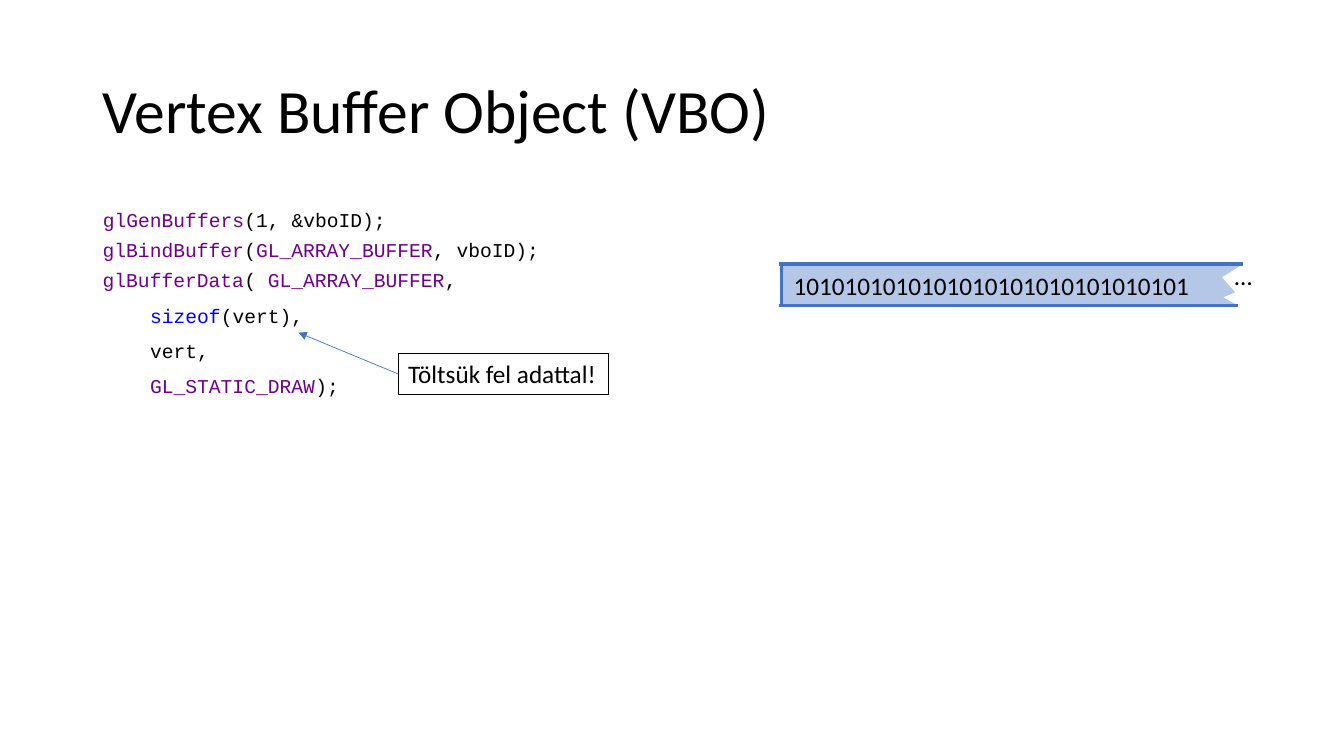
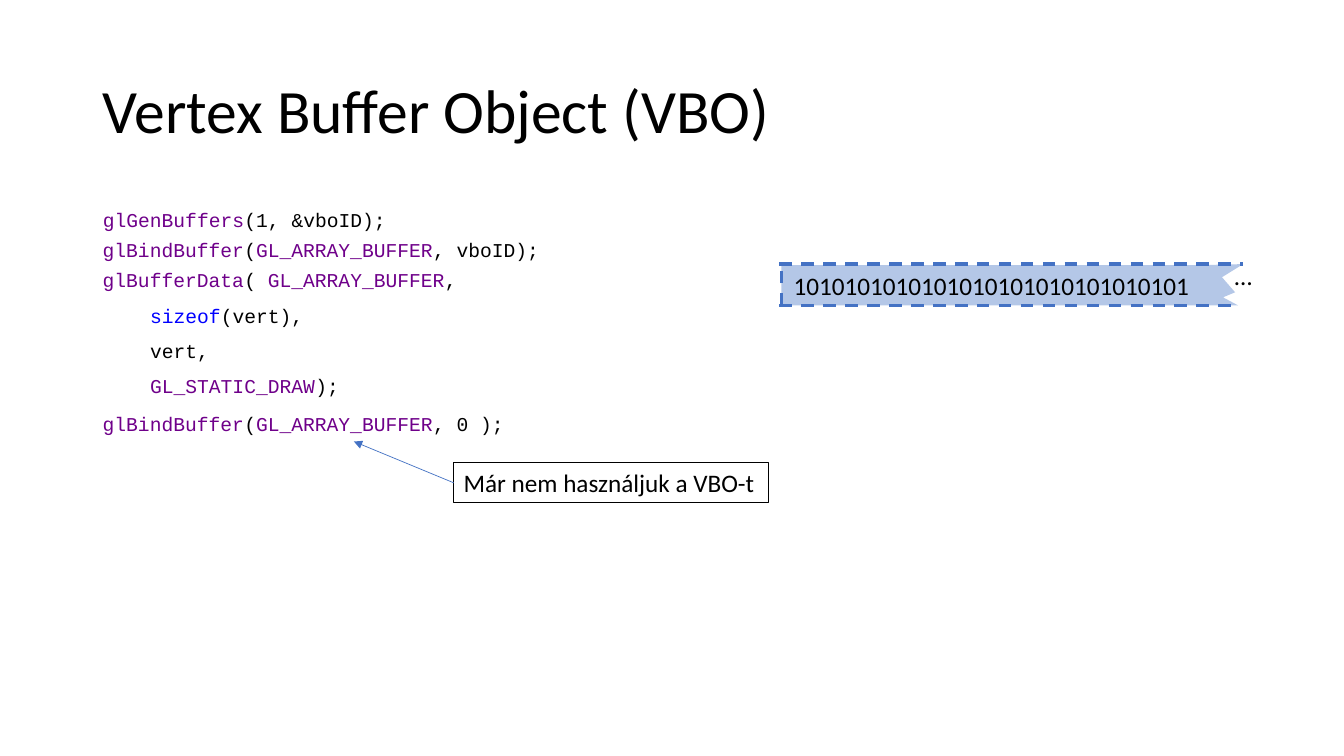
from pptx import Presentation
from pptx.dml.color import RGBColor as Rgb
from pptx.enum.dml import MSO_LINE as Dash
from pptx.enum.shapes import MSO_CONNECTOR as Link, MSO_SHAPE as Form
from pptx.enum.text import MSO_ANCHOR as Anchor, MSO_AUTO_SIZE as Fit, PP_ALIGN as Align
from pptx.oxml.ns import qn
from pptx.util import Inches, Pt
from lxml.etree import SubElement as Sub

INK = {"text": "000000", "call": "6F008A", "word": "0000FF",
       "line": "4472C4", "fill": "B4C7E7"}
CODE = {"name": "Courier New", "size": Pt(14)}
BODY = {"name": "Calibri", "size": Pt(18)}
HEAD = {"name": "Calibri", "size": Pt(44)}
PLAIN = {"alignment": Align.LEFT}
MID = {"alignment": Align.CENTER}
TIGHT = {"alignment": Align.LEFT, "line_spacing": 0.9, "space_before": Pt(10)}
STEP = Inches(0.47)


def put(item, form):
    """Set each attribute named in a dict."""
    for key, value in form.items():
        setattr(item, key, value)


def tint(name):
    """Look up a palette colour."""
    return Rgb.from_string(INK[name])


class Deck:
    """Holds the style and the current slide."""

    def __init__(self):
        """Start an empty wide deck."""
        self.show = Presentation()
        put(self.show, {"slide_width": Inches(13.33), "slide_height": Inches(7.5)})

    def page(self, title):
        """Add a slide with its title."""
        self.slide = self.show.slides.add_slide(self.show.slide_layouts[1])
        self.home = self.slide.shapes
        head = self.place(self.home.title, 0.92, 0.4, 11.5, 1.45)
        self.label(head, [[(title, "text")]], HEAD, {**PLAIN, "line_spacing": 0.9},
                   Anchor.MIDDLE)

    def place(self, shape, *spot):
        """Move and size a placeholder."""
        put(shape, dict(zip(("left", "top", "width", "height"), map(Inches, spot))))
        return shape

    def label(self, shape, lines, font, form, anchor=Anchor.TOP, wrap=True, fit=Fit.NONE):
        """Fill a shape with lines of coloured runs."""
        frame = shape.text_frame
        put(frame, {"word_wrap": wrap, "auto_size": fit, "vertical_anchor": anchor})
        for at, runs in enumerate(lines):
            para = frame.paragraphs[0] if at == 0 else frame.add_paragraph()
            put(para, form)
            for text, name in runs:
                run = para.add_run()
                run.text = text
                put(run.font, font)
                run.font.color.rgb = tint(name)

    def code(self, lines, top, high=0.4, body=False):
        """Add a code block whose later lines are indented."""
        spot = (0.92, top, 5.38, high)
        if body:
            shape = self.place(self.slide.placeholders[1], *spot)
        else:
            shape = self.home.add_textbox(*map(Inches, spot))
        self.label(shape, lines, CODE, TIGHT)
        for at, para in enumerate(shape.text_frame.paragraphs):
            prop = para._p.get_or_add_pPr()
            prop.set("marL", str(STEP if at else 0))
            prop.set("indent", "0")
            Sub(prop, qn("a:buNone"))

    def paint(self, shape, fill=None, line=None):
        """Set the fill and outline of a shape."""
        shape.shadow.inherit = False
        if fill:
            shape.fill.solid()
            shape.fill.fore_color.rgb = tint(fill)
        else:
            shape.fill.background()
        if line:
            shape.line.color.rgb = tint(line)
            shape.line.width = Pt(0.75)
        else:
            shape.line.fill.background()

    def box(self, spot, text, form, fill=None, line=None, **kind):
        """Add a rectangle with text."""
        shape = self.home.add_shape(Form.RECTANGLE, *map(Inches, spot))
        self.paint(shape, fill, line)
        self.label(shape, [[(text, "text")]], BODY, form, fit=Fit.SHAPE_TO_FIT_TEXT, **kind)

    def line(self, start, end, width, dash=None, arrow=False):
        """Add a straight line, with an arrowhead if asked."""
        link = self.home.add_connector(Link.STRAIGHT, *map(Inches, start + end))
        link.line.color.rgb = tint("line")
        put(link.line, {"width": Pt(width), "dash_style": dash})
        if arrow:
            Sub(link.line._ln, qn("a:tailEnd"), type="triangle")
        Sub(link._element.spPr, qn("a:effectLst"))

    def note(self, left, top, width, text):
        """Add a framed note with an arrow to the code."""
        self.box((left, top, width, 0.4), text, PLAIN, line="text", wrap=False)
        self.line((left, top + 0.2), (left - 0.99, top - 0.21), 0.5, arrow=True)

    def strip(self, dash=None):
        """Add the group showing the buffer, torn at its right end."""
        self.home = self.slide.shapes.add_group_shape().shapes
        dots = self.home.add_textbox(*map(Inches, (11.84, 2.53, 0.98, 0.4)))
        self.label(dots, [[("…", "text")]], BODY, MID, Anchor.MIDDLE,
                   fit=Fit.SHAPE_TO_FIT_TEXT)
        edge = [(12.12, 2.75), (12.25, 2.9), (12.13, 2.95), (12.28, 3.03),
                (11.92, 3.03), (11.92, 2.63), (12.33, 2.62)]
        start, *rest = [tuple(map(Inches, dot)) for dot in edge]
        pen = self.home.build_freeform(*start)
        pen.add_line_segments(rest, close=True)
        self.paint(pen.convert_to_shape(), "fill")
        self.box((7.75, 2.63, 4.17, 0.4), "10" * 15 + "1", MID, "fill",
                 anchor=Anchor.MIDDLE)
        for start, end in (((7.73, 3.03), (12.28, 3.03)),
                           ((7.75, 3.03), (7.75, 2.62)),
                           ((7.73, 2.62), (12.33, 2.62))):
            self.line(start, end, 2.25, dash)
        self.home = self.slide.shapes


def bind(name):
    """Give the runs of a bind call."""
    return [[("glBindBuffer", "call"), ("(", "text"),
             ("GL_ARRAY_BUFFER", "call"), (f", {name});", "text")]]


GEN = [[("glGenBuffers", "call"), ("(1, &vboID);", "text")]]
DATA = [[("glBufferData", "call"), ("( ", "text"), ("GL_ARRAY_BUFFER", "call"), (",", "text")],
        [("sizeof", "word"), ("(vert),", "text")],
        [("vert,", "text")],
        [("GL_STATIC_DRAW", "call"), (");", "text")]]


def base(deck):
    """Add a slide with the title and the code both slides show."""
    deck.page("Vertex Buffer Object (VBO)")
    deck.code(GEN, 2.04, body=True)
    deck.code(bind("vboID"), 2.34)
    deck.code(DATA, 2.64, 1.7)


deck = Deck()

base(deck)
deck.note(3.95, 3.51, 2.09, "Töltsük fel adattal!")
deck.strip()

base(deck)
deck.code(bind("0 "), 4.06)
deck.note(4.5, 4.59, 3.12, "Már nem használjuk a VBO-t")
deck.strip(Dash.DASH)

deck.show.save("out.pptx")
